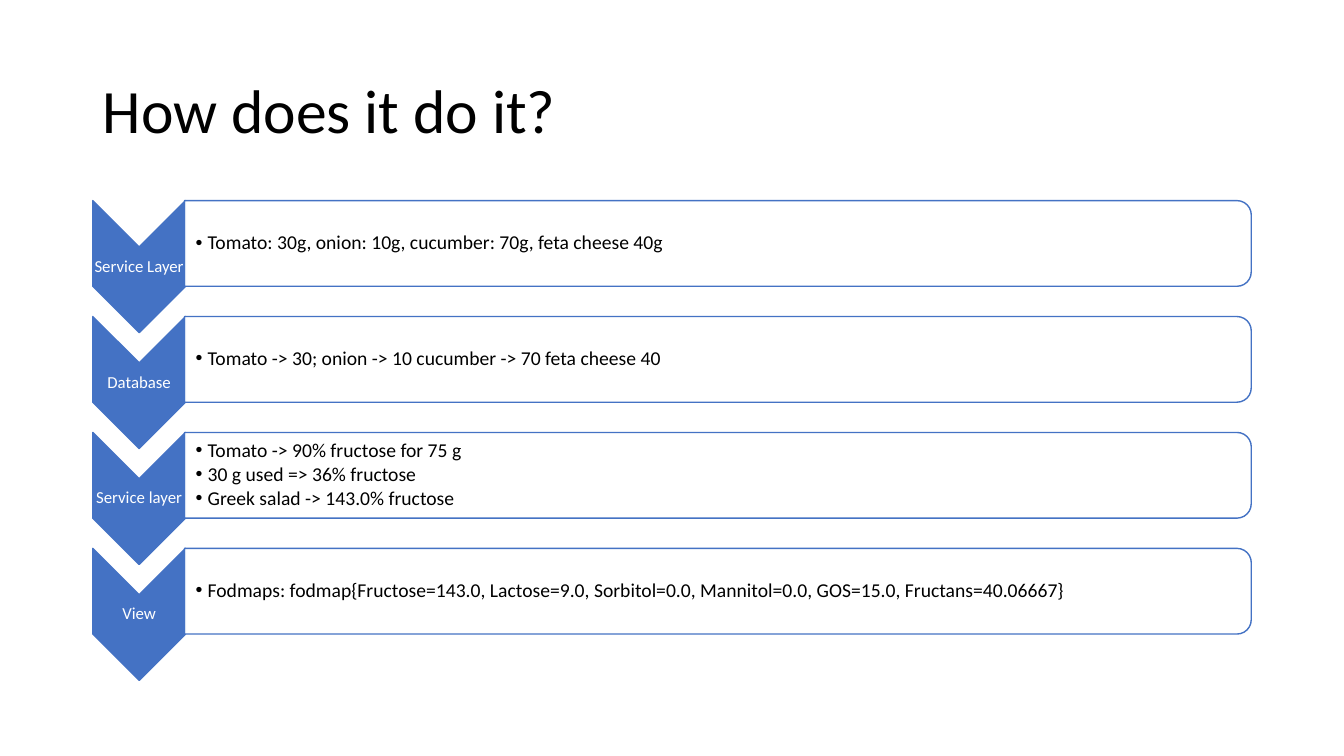
from lxml import etree
from pptx import Presentation
from pptx.dml.color import RGBColor
from pptx.enum.shapes import MSO_SHAPE
from pptx.enum.text import MSO_ANCHOR, MSO_AUTO_SIZE, PP_ALIGN
from pptx.oxml.ns import qn
from pptx.util import Inches, Pt

CHEVRON = MSO_SHAPE.CHEVRON
PANEL = MSO_SHAPE.ROUND_2_SAME_RECTANGLE
MIDDLE = MSO_ANCHOR.MIDDLE
NO_FIT = MSO_AUTO_SIZE.NONE
LEFT, CENTER = PP_ALIGN.LEFT, PP_ALIGN.CENTER

BLUE = RGBColor(0x44, 0x72, 0xC4)
WHITE = RGBColor(0xFF, 0xFF, 0xFF)
BLACK = RGBColor(0, 0, 0)
FONT = "Calibri"

# Content: step name, bullet lines
TITLE = "How does it do it?"
STEPS = [
    ("Service Layer", ["Tomato: 30g, onion: 10g, cucumber: 70g, feta cheese 40g"]),
    ("Database", ["Tomato -> 30; onion -> 10 cucumber -> 70 feta cheese 40"]),
    ("Service layer", [
        "Tomato -> 90% fructose for 75 g",
        "30 g used => 36% fructose",
        "Greek salad -> 143.0% fructose",
    ]),
    ("View", ["Fodmaps: fodmap{Fructose=143.0, Lactose=9.0, Sorbitol=0.0, "
              "Mannitol=0.0, GOS=15.0, Fructans=40.06667}"]),
]

# Layout in inches
TOP, PITCH = 1.99, 1.15
ARROW_X, ARROW_W, ARROW_H = 0.92, 0.92, 1.31
PANEL_X, PANEL_W, PANEL_H = 1.83, 10.58, 0.85
TEXT_W, TEXT_H = 10.54, 0.77
LABEL_H = 0.39


def add_turned(slide, kind, x, y, w, h, fill):
    """Add a shape turned by 90 degrees that fills the box x, y, w, h."""
    shape = slide.shapes.add_shape(
        kind, Inches(x + (w - h) / 2), Inches(y + (h - w) / 2), Inches(h), Inches(w))
    shape.rotation = 90
    shape.shadow.inherit = False
    shape.fill.solid()
    shape.fill.fore_color.rgb = fill
    shape.line.color.rgb = BLUE
    shape.line.width = Pt(1)
    return shape


def add_run(para, text, size, color):
    run = para.add_run()
    run.text = text
    run.font.name = FONT
    run.font.size = Pt(size)
    run.font.color.rgb = color


def add_text(slide, x, y, w, h, lines, size, color, align, after, inset):
    box = slide.shapes.add_textbox(Inches(x), Inches(y), Inches(w), Inches(h))
    frame = box.text_frame
    frame.word_wrap = True
    frame.vertical_anchor = MIDDLE
    frame.margin_left = Inches(inset)
    frame.margin_right = frame.margin_top = frame.margin_bottom = Inches(0.01)
    for i, line in enumerate(lines):
        para = frame.add_paragraph() if i else frame.paragraphs[0]
        para.alignment = align
        para.line_spacing = 0.9
        para.space_after = Pt(after)
        add_run(para, line, size, color)
    return frame


def add_bullet(para):
    props = para._p.get_or_add_pPr()
    props.set("marL", str(Inches(0.12)))
    props.set("indent", str(Inches(-0.12)))
    etree.SubElement(props, qn("a:buFont")).set("typeface", "Arial")
    etree.SubElement(props, qn("a:buChar")).set("char", "•")


prs = Presentation()
prs.slide_width, prs.slide_height = Inches(13.33), Inches(7.5)
slide = prs.slides.add_slide(prs.slide_layouts[5])

# Title
title = slide.shapes.title
title.left, title.top = Inches(0.92), Inches(0.4)
title.width, title.height = Inches(11.5), Inches(1.45)
head = title.text_frame
head.auto_size = NO_FIT
head.vertical_anchor = MIDDLE
head.paragraphs[0].alignment = LEFT
head.paragraphs[0].line_spacing = 0.9
add_run(head.paragraphs[0], TITLE, 44, BLACK)

# Steps: arrow with its label, panel with its bullets
for i, (name, lines) in enumerate(STEPS):
    top = TOP + i * PITCH
    add_turned(slide, CHEVRON, ARROW_X, top, ARROW_W, ARROW_H, BLUE)
    add_text(slide, ARROW_X, top + (ARROW_H - LABEL_H) / 2, ARROW_W, LABEL_H,
             [name], 12, WHITE, CENTER, 4.2, 0.01)

    panel = add_turned(slide, PANEL, PANEL_X, top, PANEL_W, PANEL_H, WHITE)
    tint = panel._element.spPr.find(qn("a:solidFill"))[0]
    etree.SubElement(tint, qn("a:alpha")).set("val", "90000")
    frame = add_text(slide, PANEL_X, top + (PANEL_H - TEXT_H) / 2, TEXT_W, TEXT_H,
                     lines, 14, BLACK, LEFT, 2.1, 0.11)
    for para in frame.paragraphs:
        add_bullet(para)

prs.save("out.pptx")
